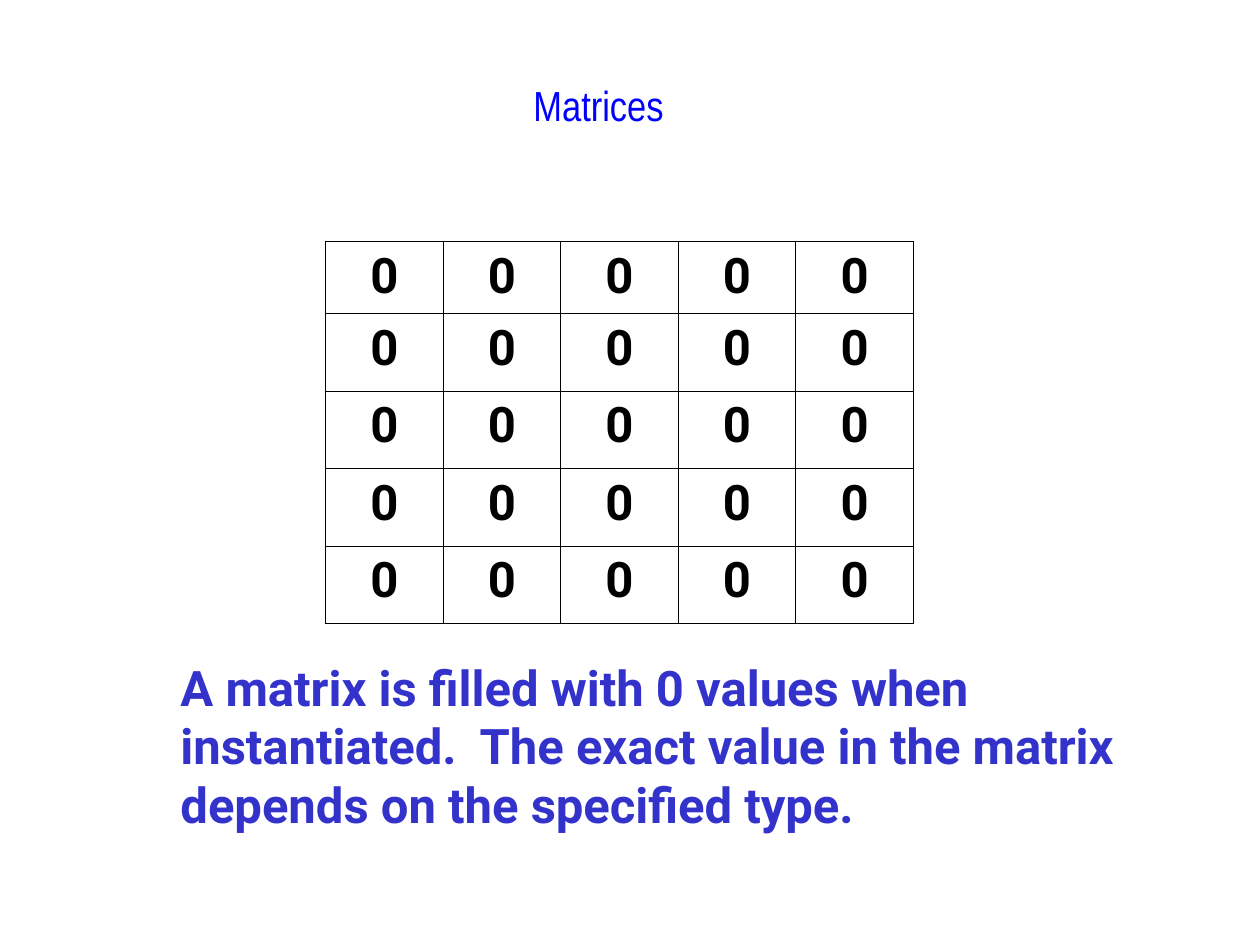
"""Build a slide showing a five by five matrix filled with zeros."""
from lxml.etree import SubElement
from pptx import Presentation
from pptx.dml.color import RGBColor
from pptx.enum.text import MSO_ANCHOR, PP_ALIGN
from pptx.oxml.ns import qn
from pptx.util import Pt

COLORS = {"title": "0000FF", "grid": "000000", "digit": "000000", "note": "3333CC"}
SIZE = 5
COLUMN_WIDTH = 67.2
ROW_HEIGHTS = [41.2] + [44.3] * (SIZE - 1)
OUTER_LINE, INNER_LINE = 1.08, 0.45


def write(frame, text, font, size, color, bold=False, align=PP_ALIGN.LEFT):
    paragraph = frame.paragraphs[0]
    paragraph.text = text
    paragraph.alignment = align
    paragraph.space_before = Pt(0)
    run_font = paragraph.runs[0].font
    run_font.name = font
    run_font.size = Pt(size)
    run_font.bold = bold
    run_font.color.rgb = RGBColor.from_string(COLORS[color])


def add_border(cell, side, width):
    line = SubElement(cell._tc.get_or_add_tcPr(), qn(f"a:ln{side}"), w=str(Pt(width)))
    fill = SubElement(line, qn("a:solidFill"))
    SubElement(fill, qn("a:srgbClr"), val=COLORS["grid"])


presentation = Presentation()
presentation.slide_width, presentation.slide_height = Pt(720), Pt(540)
slide = presentation.slides.add_slide(presentation.slide_layouts[5])

title = slide.shapes.title
title.left, title.top, title.width, title.height = Pt(126), Pt(42), Pt(432), Pt(78)
title.text_frame.word_wrap = False
title.text_frame.vertical_anchor = MSO_ANCHOR.TOP
write(title.text_frame, "Matrices", font="Arial Narrow", size=24, color="title",
      align=PP_ALIGN.CENTER)

matrix = slide.shapes.add_table(SIZE, SIZE, Pt(186), Pt(138), Pt(COLUMN_WIDTH * SIZE),
                                Pt(sum(ROW_HEIGHTS))).table
matrix.first_row = matrix.horz_banding = False
for column in matrix.columns:
    column.width = Pt(COLUMN_WIDTH)
for row, height in zip(matrix.rows, ROW_HEIGHTS):
    row.height = Pt(height)

for r in range(SIZE):
    for c in range(SIZE):
        cell = matrix.cell(r, c)
        write(cell.text_frame, "0", font="Roboto", size=28, color="digit", bold=True,
              align=PP_ALIGN.CENTER)
        on_edge = {"L": c == 0, "R": c == SIZE - 1, "T": r == 0, "B": r == SIZE - 1}
        for side, outer in on_edge.items():
            add_border(cell, side, OUTER_LINE if outer else INNER_LINE)
        cell.fill.background()

note = slide.shapes.add_textbox(Pt(96), Pt(372), Pt(564), Pt(108)).text_frame
note.word_wrap = True
write(note, "A matrix is filled with 0 values when instantiated.  The exact value in the "
      "matrix depends on the specified type.", font="Roboto", size=28, color="note", bold=True)

presentation.save("out.pptx")
